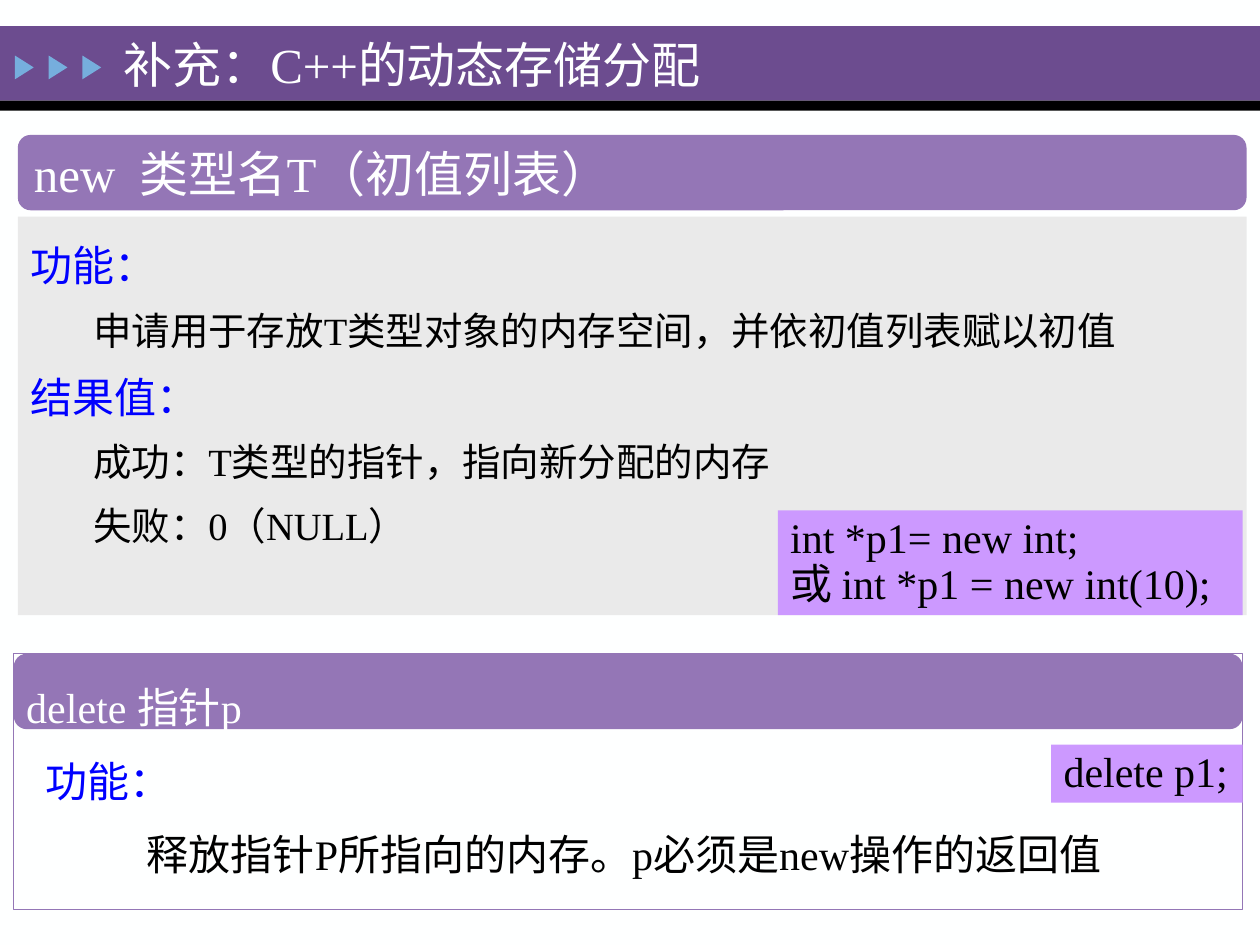
import pptx
import pptx.util
import pptx.dml.color
import pptx.enum.shapes
import pptx.enum.text
from dataclasses import dataclass

Cm = pptx.util.Cm
Pt = pptx.util.Pt
Kind = pptx.enum.shapes.MSO_SHAPE
Anchor = pptx.enum.text.MSO_ANCHOR


@dataclass(frozen=True)
class Theme:
    font: str = "Times New Roman"
    white: str = "FEFFFF"
    black: str = "000000"
    blue: str = "0000FF"
    banner: str = "6C4C8F"
    arrow: str = "76AEDD"
    bar: str = "9476B6"
    panel: str = "EAEAEA"
    code: str = "CC99FF"
    title_size: int = 28
    head_size: int = 24
    detail_size: int = 22


THEME = Theme()

TITLE = "补充：C++的动态存储分配"
NEW_SYNTAX = "new  类型名T（初值列表）"
HEAD = (THEME.head_size, THEME.blue, 0)
DETAIL = (THEME.detail_size, THEME.black, 1.27)
NEW_NOTES = [
    ("功能：", *HEAD),
    ("申请用于存放T类型对象的内存空间，并依初值列表赋以初值", *DETAIL),
    ("结果值：", *HEAD),
    ("成功：T类型的指针，指向新分配的内存", *DETAIL),
    ("失败：0（NULL）", *DETAIL),
]
DELETE_NOTES = [
    ("delete 指针p", THEME.head_size, THEME.white, 0),
    ("功能：", THEME.head_size, THEME.blue, 0.39),
    ("释放指针P所指向的内存。p必须是new操作的返回值", THEME.head_size, THEME.black, 2.43),
]
NEW_CODE = ["int *p1= new int;", "或 int *p1 = new int(10);"]
DELETE_CODE = ["delete p1;"]

PAGE_WIDTH, PAGE_HEIGHT = 25.4, 19.05
BLOCK_WIDTH, BAR_HEIGHT = 24.77, 1.52
NEW_LEFT, NEW_TOP = 0.36, 2.72
DELETE_LEFT, DELETE_TOP = 0.28, 13.18
CODE_RIGHT = DELETE_LEFT + BLOCK_WIDTH
PANEL_TOP, PANEL_HEIGHT = 4.37, 8.03
ARROW_LEFT, ARROW_STEP = 0.25, 0.68


def color(value):
    return pptx.dml.color.RGBColor.from_string(value)


def add_block(page, kind, area, fill=None, line=None):
    shape = page.shapes.add_shape(kind, *map(Cm, area))
    shape.shadow.inherit = False
    if fill:
        shape.fill.solid()
        shape.fill.fore_color.rgb = color(fill)
    else:
        shape.fill.background()
    if line:
        shape.line.color.rgb = color(line)
        shape.line.width = Pt(0.75)
    else:
        shape.line.fill.background()
    return shape


def add_span(para, text, size, ink):
    span = para.add_run()
    span.text = text
    span.font.name = THEME.font
    span.font.size = Pt(size)
    span.font.color.rgb = color(ink)


def write(box, rows, spacing=1.0, anchor=Anchor.MIDDLE, top=0.13, wrap=True):
    frame = box.text_frame
    frame.word_wrap = wrap
    frame.vertical_anchor = anchor
    frame.margin_left = frame.margin_right = Cm(0.25)
    frame.margin_top, frame.margin_bottom = Cm(top), Cm(0.13)
    for index, (text, size, ink, indent) in enumerate(rows):
        para = frame.add_paragraph() if index else frame.paragraphs[0]
        para.alignment = pptx.enum.text.PP_ALIGN.LEFT
        para.line_spacing = spacing
        para.space_before = Pt(size * 0.2 if index else 0)
        para._p.get_or_add_pPr().set("marL", str(Cm(indent)))
        for number, part in enumerate(text.split("\n")):
            if number:
                para.add_line_break()
            add_span(para, part, size, ink)


def add_code(page, lines, top, width, height):
    box = add_block(page, Kind.RECTANGLE, (CODE_RIGHT - width, top, width, height), THEME.code)
    write(box, [("\n".join(lines), THEME.head_size, THEME.black, 0)], 0.9, wrap=False)


def add_bar(page, left, top):
    bar = add_block(page, Kind.ROUNDED_RECTANGLE, (left, top, BLOCK_WIDTH, BAR_HEIGHT), THEME.bar)
    bar.adjustments[0] = 0.17
    return bar


def main():
    deck = pptx.Presentation()
    deck.slide_width, deck.slide_height = Cm(PAGE_WIDTH), Cm(PAGE_HEIGHT)
    page = deck.slides.add_slide(deck.slide_layouts[6])
    page.background.fill.solid()
    page.background.fill.fore_color.rgb = color(THEME.white)

    add_block(page, Kind.RECTANGLE, (0, 0.53, PAGE_WIDTH, 1.5), THEME.banner)
    add_block(page, Kind.RECTANGLE, (0, 2.03, PAGE_WIDTH, 0.2), THEME.black)
    for index in range(3):
        area = (ARROW_LEFT + index * ARROW_STEP, 1.17, 0.48, 0.38)
        add_block(page, Kind.ISOSCELES_TRIANGLE, area, THEME.arrow).rotation = 90

    add_bar(page, DELETE_LEFT, DELETE_TOP)
    syntax = add_bar(page, NEW_LEFT, NEW_TOP)
    write(syntax, [(NEW_SYNTAX, THEME.title_size, THEME.white, 0)])

    panel = add_block(page, Kind.RECTANGLE, (NEW_LEFT, PANEL_TOP, BLOCK_WIDTH, PANEL_HEIGHT), THEME.panel)
    write(panel, NEW_NOTES, 1.2, Anchor.TOP, 0.25)
    add_code(page, NEW_CODE, 10.29, 9.37, 2.11)

    outline = add_block(page, Kind.RECTANGLE, (DELETE_LEFT, DELETE_TOP, BLOCK_WIDTH, 5.16), line=THEME.bar)
    write(outline, DELETE_NOTES, 1.3, Anchor.TOP, 0.25)
    add_code(page, DELETE_CODE, 15.01, 3.86, 1.17)

    title = page.shapes.add_textbox(Cm(2.24), Cm(0.1), Cm(18.9), Cm(2.36))
    write(title, [(TITLE, THEME.title_size, THEME.white, 0)])
    deck.save("out.pptx")


if __name__ == "__main__":
    main()
